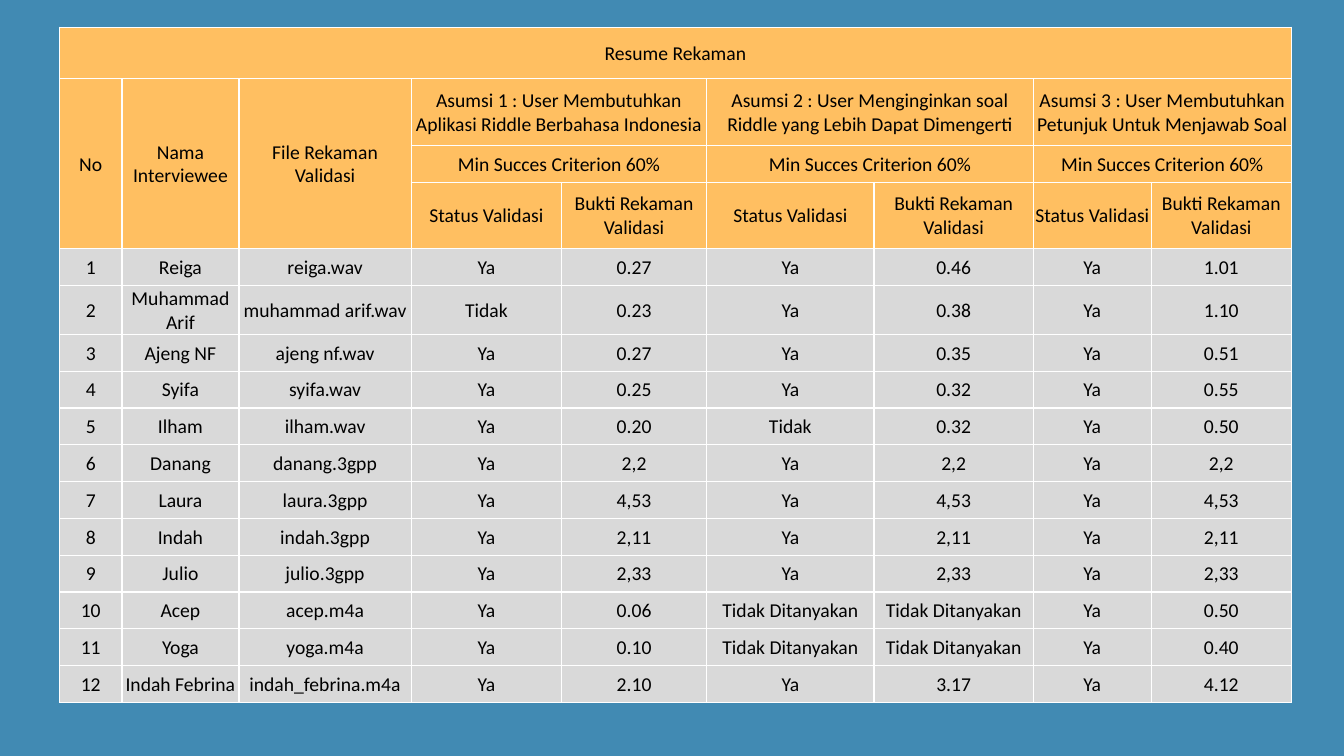
from pptx import Presentation
from pptx import util as u
from pptx.dml import color
from pptx.enum import text
from pptx.oxml import ns
from lxml import etree

HUES = {"back": "418AB3", "head": "FFBF61", "body": "D9D9D9",
        "line": "FFFFFF", "ink": "000000"}
FONT = "Calibri"

COLS = [0.62, 1.16, 1.71, 1.49, 1.44, 1.66, 1.58, 1.17, 1.39]
HEADS = [0.51, 0.66, 0.37, 0.66]
BODY = 4.38  # height shared by the interview rows

TITLE = "Resume Rekaman"
KEYS = ["No", "Nama Interviewee", "File Rekaman Validasi"]
CLAIMS = ["Asumsi 1 : User Membutuhkan Aplikasi Riddle Berbahasa Indonesia",
          "Asumsi 2 : User Menginginkan soal Riddle yang Lebih Dapat Dimengerti",
          "Asumsi 3 : User Membutuhkan Petunjuk Untuk Menjawab Soal"]
GOAL = "Min Succes Criterion 60%"
PAIR = ["Status Validasi", "Bukti Rekaman Validasi"]

# Name, file, then status and proof for each assumption
TALKS = [
    ["Reiga", "reiga.wav", "Ya", "0.27", "Ya", "0.46", "Ya", "1.01"],
    ["Muhammad Arif", "muhammad arif.wav", "Tidak", "0.23", "Ya", "0.38", "Ya", "1.10"],
    ["Ajeng NF", "ajeng nf.wav", "Ya", "0.27", "Ya", "0.35", "Ya", "0.51"],
    ["Syifa", "syifa.wav", "Ya", "0.25", "Ya", "0.32", "Ya", "0.55"],
    ["Ilham", "ilham.wav", "Ya", "0.20", "Tidak", "0.32", "Ya", "0.50"],
    ["Danang", "danang.3gpp", "Ya", "2,2", "Ya", "2,2", "Ya", "2,2"],
    ["Laura", "laura.3gpp", "Ya", "4,53", "Ya", "4,53", "Ya", "4,53"],
    ["Indah", "indah.3gpp", "Ya", "2,11", "Ya", "2,11", "Ya", "2,11"],
    ["Julio", "julio.3gpp", "Ya", "2,33", "Ya", "2,33", "Ya", "2,33"],
    ["Acep", "acep.m4a", "Ya", "0.06", "Tidak Ditanyakan", "Tidak Ditanyakan", "Ya", "0.50"],
    ["Yoga", "yoga.m4a", "Ya", "0.10", "Tidak Ditanyakan", "Tidak Ditanyakan", "Ya", "0.40"],
    ["Indah Febrina", "indah_febrina.m4a", "Ya", "2.10", "Ya", "3.17", "Ya", "4.12"],
]


def hue(name):
    return color.RGBColor.from_string(HUES[name])


def style(cell, fill):
    """Borders, fill, margins and anchor of one cell."""
    props = cell._tc.get_or_add_tcPr()
    for side in ("lnL", "lnR", "lnT", "lnB"):
        line = etree.SubElement(props, ns.qn("a:" + side), w=str(u.Pt(1)))
        solid = etree.SubElement(line, ns.qn("a:solidFill"))
        etree.SubElement(solid, ns.qn("a:srgbClr"), val=HUES["line"])
    cell.fill.solid()
    cell.fill.fore_color.rgb = hue(fill)
    cell.margin_left = cell.margin_right = cell.margin_top = u.Inches(0.01)
    cell.margin_bottom = 0
    cell.vertical_anchor = text.MSO_ANCHOR.MIDDLE


def write(cell, words):
    para = cell.text_frame.paragraphs[0]
    para.alignment = text.PP_ALIGN.CENTER
    run = para.add_run()
    run.text = words
    run.font.name = FONT
    run.font.size = u.Pt(14)
    run.font.color.rgb = hue("ink")


def fill_head(grid):
    """Title row, key columns and a block for each assumption."""
    def span(row, col, high, wide, words):
        cell = grid.cell(row, col)
        if high * wide > 1:
            cell.merge(grid.cell(row + high - 1, col + wide - 1))
        write(cell, words)

    span(0, 0, 1, len(COLS), TITLE)
    for col, key in enumerate(KEYS):
        span(1, col, 3, 1, key)
    for i, claim in enumerate(CLAIMS):
        col = len(KEYS) + 2 * i
        span(1, col, 1, 2, claim)
        span(2, col, 1, 2, GOAL)
        for j, words in enumerate(PAIR):
            span(3, col + j, 1, 1, words)


def fill_body(grid):
    """One numbered row for each interview."""
    for num, talk in enumerate(TALKS, 1):
        for col, words in enumerate([str(num)] + talk):
            write(grid.cell(len(HEADS) + num - 1, col), words)


def add_grid(slide, left, top):
    highs = HEADS + [BODY / len(TALKS)] * len(TALKS)
    frame = slide.shapes.add_table(
        len(highs), len(COLS), u.Inches(left), u.Inches(top),
        u.Inches(sum(COLS)), u.Inches(sum(highs)))
    grid = frame.table
    grid.first_row = grid.horz_banding = False
    for col, wide in zip(grid.columns, COLS):
        col.width = u.Inches(wide)
    for i, (row, high) in enumerate(zip(grid.rows, highs)):
        row.height = u.Inches(high)
        for cell in row.cells:
            style(cell, "head" if i < len(HEADS) else "body")
    fill_head(grid)
    fill_body(grid)


def main():
    deck = Presentation()
    deck.slide_width, deck.slide_height = u.Inches(13.33), u.Inches(7.5)
    slide = deck.slides.add_slide(deck.slide_layouts[6])
    slide.background.fill.solid()
    slide.background.fill.fore_color.rgb = hue("back")
    add_grid(slide, 0.59, 0.27)
    deck.save("out.pptx")


if __name__ == "__main__":
    main()
